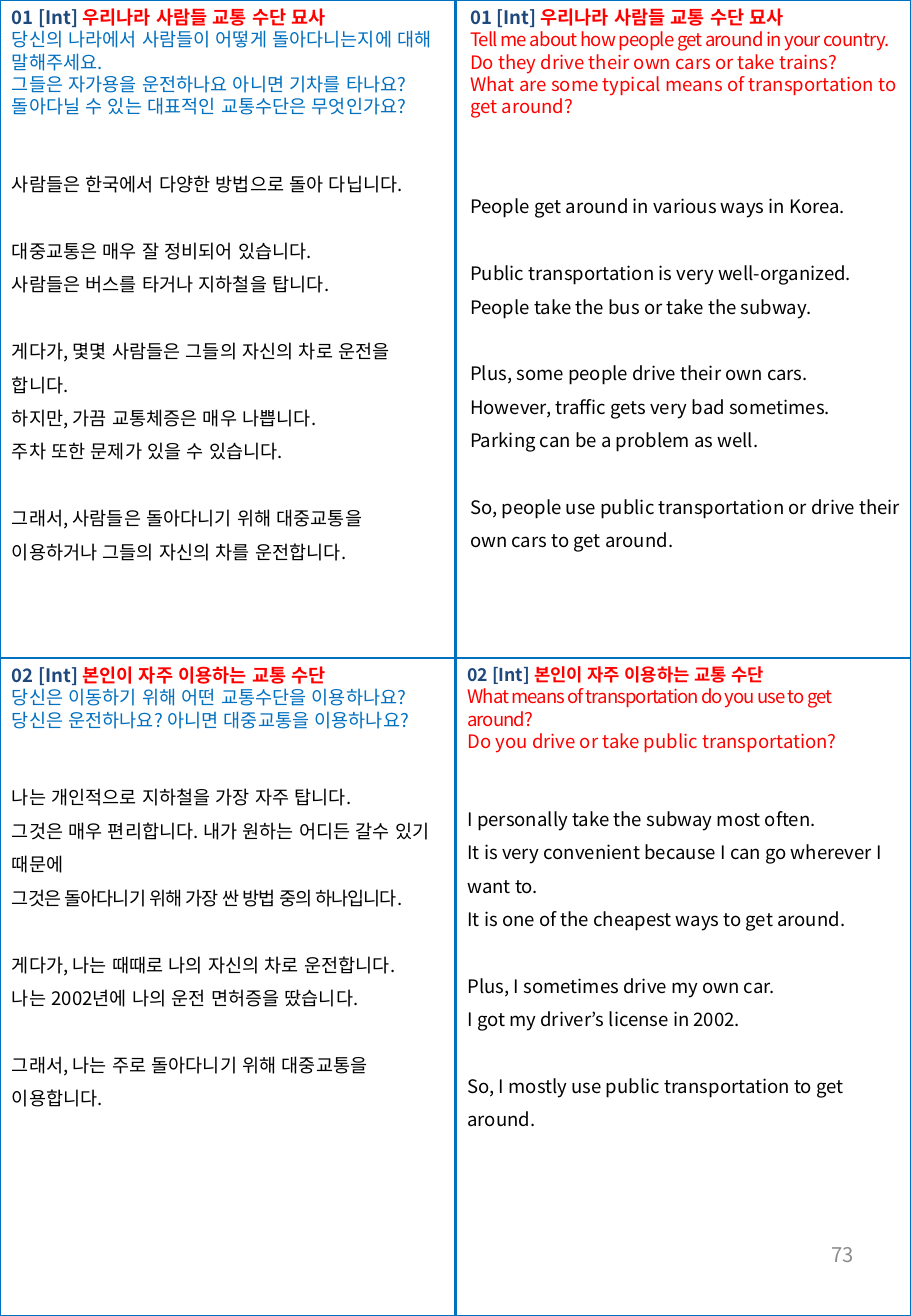
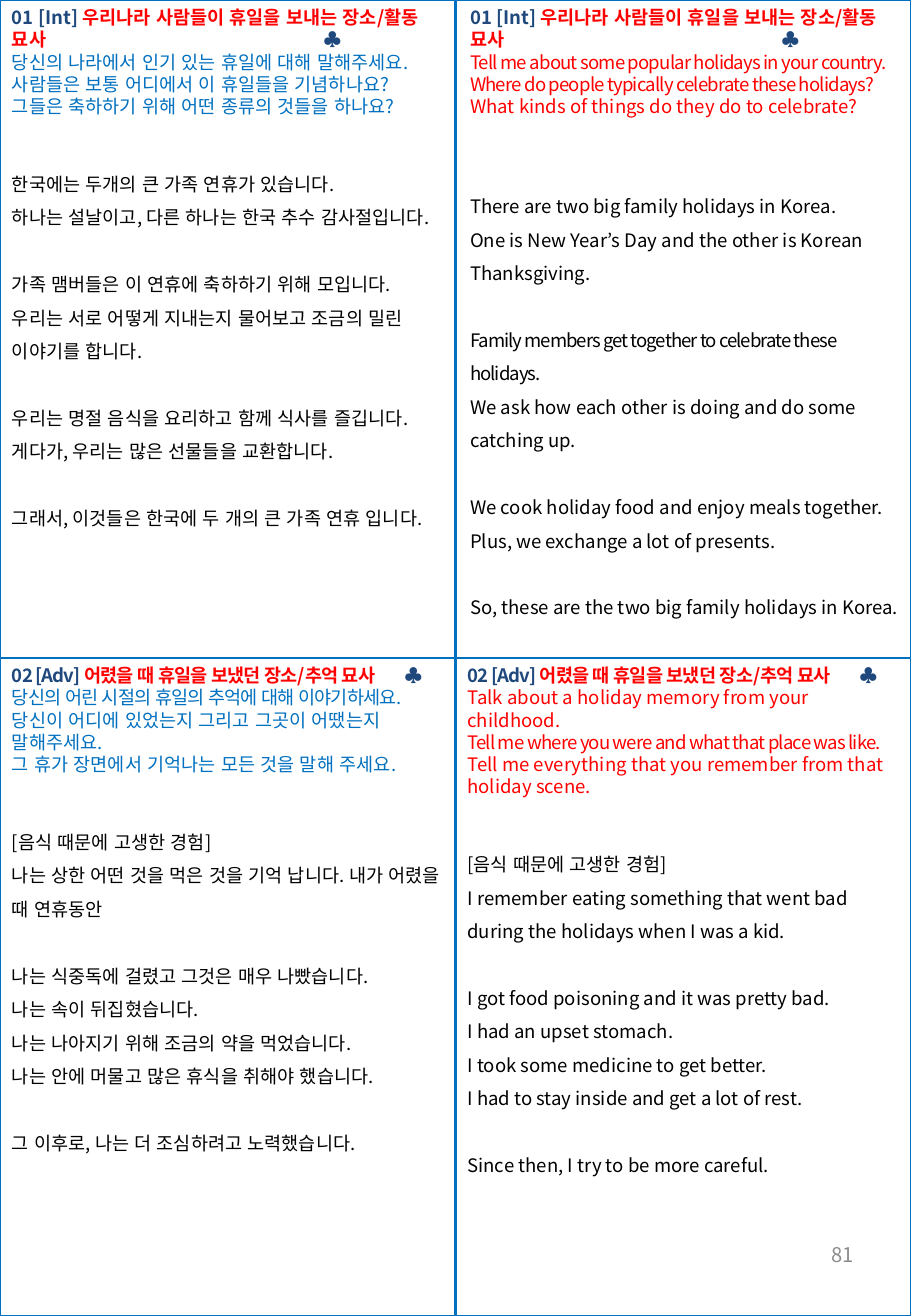
import dataclasses
import typing

import lxml.etree
import pptx
import pptx.dml.color
import pptx.enum.lang
import pptx.enum.shapes
import pptx.enum.text
import pptx.oxml.ns
import pptx.util

Cm = pptx.util.Cm
Pt = pptx.util.Pt

FONT = "Noto Sans CJK KR"
WIDTH, HEIGHT = 19.05, 27.52
MIDDLE_X, MIDDLE_Y = WIDTH / 2, HEIGHT / 2
BLUE, NAVY, RED, BLACK, GRAY = "0070C0", "1F497D", "FF0000", "000000", "8C8C8C"
TEXT_SIZE = 11
SINGLE_LINE = 13.2
BODY_SPACING = 1.5
BODY_LINE = SINGLE_LINE * BODY_SPACING


class Line(typing.NamedTuple):
    text: str
    tracking: float = 0


@dataclasses.dataclass
class Panel:
    left: float
    top: float
    height: float
    tag: str
    title: str
    question_color: str
    questions: list[Line]
    stanzas: list[list[Line]]
    body_gap: float = 2 * SINGLE_LINE
    title_size: float = TEXT_SIZE
    title_tracking: float = 0
    club_tab: float = 0


@dataclasses.dataclass
class Page:
    number: str
    panels: list[Panel]


def lines(*texts: str | Line) -> list[Line]:
    return [Line(text) if isinstance(text, str) else text for text in texts]


def color(value: str) -> pptx.dml.color.RGBColor:
    return pptx.dml.color.RGBColor.from_string(value)


def add_element(parent: typing.Any, tag: str, **attributes: str) -> typing.Any:
    return lxml.etree.SubElement(parent, pptx.oxml.ns.qn(tag), attributes)


def add_run(paragraph: typing.Any, text: str, text_color: str, size: float = TEXT_SIZE,
            bold: bool = False, tracking: float = 0) -> None:
    run = paragraph.add_run()
    run.text = text
    values = {"name": FONT, "size": Pt(size), "bold": bold,
              "language_id": pptx.enum.lang.MSO_LANGUAGE_ID.KOREAN}
    for name, value in values.items():
        setattr(run.font, name, value)
    run.font.color.rgb = color(text_color)
    properties = run._r.get_or_add_rPr()
    if tracking:
        properties.set("spc", str(round(tracking * 100)))
    add_element(properties, "a:ea", typeface=FONT)


def add_frame(slide: typing.Any, left: float, top: float, width: float, height: float,
              **values: typing.Any) -> typing.Any:
    frame = slide.shapes.add_textbox(Cm(left), Cm(top), Cm(width), Cm(height)).text_frame
    for name, value in {"word_wrap": True, **values}.items():
        setattr(frame, name, value)
    return frame


def add_title(paragraph: typing.Any, panel: Panel) -> None:
    pieces = [(panel.tag + " ", NAVY), (panel.title, RED)]
    if panel.club_tab:
        tabs = add_element(paragraph._p.get_or_add_pPr(), "a:tabLst")
        add_element(tabs, "a:tab", pos=str(Cm(panel.club_tab)), algn="l")
        pieces.append(("\t♣", NAVY))
    for text, text_color in pieces:
        add_run(paragraph, text, text_color, panel.title_size, True, panel.title_tracking)


def add_panel(slide: typing.Any, panel: Panel) -> None:
    frame = add_frame(slide, panel.left, panel.top, MIDDLE_X, panel.height,
                      auto_size=pptx.enum.text.MSO_AUTO_SIZE.SHAPE_TO_FIT_TEXT)
    add_title(frame.paragraphs[0], panel)
    for question in panel.questions:
        add_run(frame.add_paragraph(), question.text, panel.question_color,
                tracking=question.tracking)
    gap = panel.body_gap
    for stanza in panel.stanzas:
        for line in stanza:
            paragraph = frame.add_paragraph()
            paragraph.line_spacing = BODY_SPACING
            paragraph.space_before = Pt(gap)
            add_run(paragraph, line.text, BLACK, tracking=line.tracking)
            gap = 0
        gap = BODY_LINE


def add_divider(slide: typing.Any, left: float, top: float, right: float, bottom: float) -> None:
    connector = slide.shapes.add_connector(
        pptx.enum.shapes.MSO_CONNECTOR.STRAIGHT, Cm(left), Cm(top), Cm(right), Cm(bottom))
    add_element(connector._element.spPr, "a:effectLst")
    style_line(connector)


def style_line(shape: typing.Any) -> None:
    shape.line.color.rgb = color(BLUE)
    shape.line.width = Pt(1.5)


def add_grid(slide: typing.Any) -> None:
    add_divider(slide, 0, MIDDLE_Y, WIDTH, MIDDLE_Y)
    add_divider(slide, MIDDLE_X, 0, MIDDLE_X, HEIGHT)
    border = slide.shapes.add_shape(
        pptx.enum.shapes.MSO_SHAPE.RECTANGLE, 0, 0, Cm(WIDTH), Cm(HEIGHT))
    border.shadow.inherit = False
    border.fill.background()
    style_line(border)


def add_page_number(slide: typing.Any, number: str) -> None:
    frame = add_frame(slide, 13.65, 25.5, 4.45, 1.47,
                      vertical_anchor=pptx.enum.text.MSO_ANCHOR.MIDDLE)
    paragraph = frame.paragraphs[0]
    paragraph.alignment = pptx.enum.text.PP_ALIGN.RIGHT
    add_run(paragraph, number, GRAY, 12)


TRANSPORT = {"tag": "01 [Int]", "title": "우리나라 사람들 교통 수단 묘사"}
OWN_TRANSPORT = {"tag": "02 [Int]", "title": "본인이 자주 이용하는 교통 수단"}
HOLIDAYS = {"tag": "01 [Int]", "title": "우리나라 사람들이 휴일을 보내는 장소/활동 묘사",
            "club_tab": 6.52}
CHILDHOOD = {"tag": "02 [Adv]", "title": "어렸을 때 휴일을 보냈던 장소/추억 묘사",
             "club_tab": 8.2, "title_tracking": -0.5}
TOP_LEFT = {"left": 0, "top": 0, "question_color": BLUE}
TOP_RIGHT = {"left": 9.58, "top": 0, "question_color": RED, "body_gap": 2 * BODY_LINE}
BOTTOM_LEFT = {"left": 0, "top": MIDDLE_Y, "question_color": BLUE}
BOTTOM_RIGHT = {"left": MIDDLE_X, "top": MIDDLE_Y, "question_color": RED}

PAGES = [
    Page("73", [
        Panel(**TOP_LEFT, **TRANSPORT, height=11.89, questions=lines(
            "당신의 나라에서 사람들이 어떻게 돌아다니는지에 대해 말해주세요.",
            "그들은 자가용을 운전하나요 아니면 기차를 타나요?",
            "돌아다닐 수 있는 대표적인 교통수단은 무엇인가요?",
        ), stanzas=[
            lines("사람들은 한국에서 다양한 방법으로 돌아 다닙니다."),
            lines("대중교통은 매우 잘 정비되어 있습니다.",
                  "사람들은 버스를 타거나 지하철을 탑니다."),
            lines("게다가, 몇몇 사람들은 그들의 자신의 차로 운전을 합니다.",
                  "하지만, 가끔 교통체증은 매우 나쁩니다.",
                  "주차 또한 문제가 있을 수 있습니다."),
            lines("그래서, 사람들은 돌아다니기 위해 대중교통을 이용하거나 "
                  "그들의 자신의 차를 운전합니다."),
        ]),
        Panel(**TOP_RIGHT, **TRANSPORT, height=12.14, questions=lines(
            Line("Tell me about how people get around in your country.", -0.5),
            "Do they drive their own cars or take trains?",
            "What are some typical means of transportation to get around?",
        ), stanzas=[
            lines("People get around in various ways in Korea."),
            lines("Public transportation is very well-organized.",
                  "People take the bus or take the subway."),
            lines("Plus, some people drive their own cars.",
                  "However, traffic gets very bad sometimes.",
                  "Parking can be a problem as well."),
            lines("So, people use public transportation or drive their own cars to get around."),
        ]),
        Panel(**BOTTOM_LEFT, **OWN_TRANSPORT, height=9.58, questions=lines(
            "당신은 이동하기 위해 어떤 교통수단을 이용하나요?",
            "당신은 운전하나요? 아니면 대중교통을 이용하나요?",
        ), stanzas=[
            lines("나는 개인적으로 지하철을 가장 자주 탑니다.",
                  "그것은 매우 편리합니다. 내가 원하는 어디든 갈수 있기 때문에",
                  Line("그것은 돌아다니기 위해 가장 싼 방법 중의 하나입니다.", -0.6)),
            lines("게다가, 나는 때때로 나의 자신의 차로 운전합니다.",
                  "나는 2002년에 나의 운전 면허증을 땄습니다."),
            lines("그래서, 나는 주로 돌아다니기 위해 대중교통을 이용합니다."),
        ]),
        Panel(**BOTTOM_RIGHT, **OWN_TRANSPORT, height=9.55, title_size=10.5, questions=lines(
            Line("What means of transportation do you use to get around?", -0.6),
            "Do you drive or take public transportation?",
        ), stanzas=[
            lines("I personally take the subway most often.",
                  "It is very convenient because I can go wherever I want to.",
                  "It is one of the cheapest ways to get around."),
            lines("Plus, I sometimes drive my own car.",
                  "I got my driver’s license in 2002."),
            lines("So, I mostly use public transportation to get around."),
        ]),
    ]),
    Page("81", [
        Panel(**TOP_LEFT, **HOLIDAYS, height=13.11, questions=lines(
            "당신의 나라에서 인기 있는 휴일에 대해 말해주세요.",
            "사람들은 보통 어디에서 이 휴일들을 기념하나요?",
            "그들은 축하하기 위해 어떤 종류의 것들을 하나요?",
        ), stanzas=[
            lines("한국에는 두개의 큰 가족 연휴가 있습니다.",
                  "하나는 설날이고, 다른 하나는 한국 추수 감사절입니다."),
            lines("가족 맴버들은 이 연휴에 축하하기 위해 모입니다.",
                  "우리는 서로 어떻게 지내는지 물어보고 조금의 밀린 이야기를 합니다."),
            lines("우리는 명절 음식을 요리하고 함께 식사를 즐깁니다.",
                  "게다가, 우리는 많은 선물들을 교환합니다."),
            lines("그래서, 이것들은 한국에 두 개의 큰 가족 연휴 입니다."),
        ]),
        Panel(**TOP_RIGHT, **HOLIDAYS, height=12.4, questions=lines(
            Line("Tell me about some popular holidays in your country.", -0.5),
            Line("Where do people typically celebrate these holidays?", -0.5),
            "What kinds of things do they do to celebrate?",
        ), stanzas=[
            lines("There are two big family holidays in Korea.",
                  "One is New Year’s Day and the other is Korean Thanksgiving."),
            lines(Line("Family members get together to celebrate these holidays.", -0.6),
                  "We ask how each other is doing and do some catching up."),
            lines("We cook holiday food and enjoy meals together.",
                  "Plus, we exchange a lot of presents."),
            lines("So, these are the two big family holidays in Korea."),
        ]),
        Panel(**BOTTOM_LEFT, **CHILDHOOD, height=10.52, questions=lines(
            Line("당신의 어린 시절의 휴일의 추억에 대해 이야기하세요.", -0.5),
            "당신이 어디에 있었는지 그리고 그곳이 어땠는지 말해주세요.",
            "그 휴가 장면에서 기억나는 모든 것을 말해 주세요.",
        ), stanzas=[
            lines("[음식 때문에 고생한 경험]",
                  "나는 상한 어떤 것을 먹은 것을 기억 납니다. 내가 어렸을 때 연휴동안"),
            lines("나는 식중독에 걸렸고 그것은 매우 나빴습니다.",
                  "나는 속이 뒤집혔습니다.",
                  "나는 나아지기 위해 조금의 약을 먹었습니다.",
                  "나는 안에 머물고 많은 휴식을 취해야 했습니다."),
            lines("그 이후로, 나는 더 조심하려고 노력했습니다."),
        ]),
        Panel(**BOTTOM_RIGHT, **CHILDHOOD, height=10.52, questions=lines(
            "Talk about a holiday memory from your childhood.",
            Line("Tell me where you were and what that place was like.", -0.5),
            "Tell me everything that you remember from that holiday scene.",
        ), stanzas=[
            lines("[음식 때문에 고생한 경험]",
                  "I remember eating something that went bad",
                  "during the holidays when I was a kid."),
            lines("I got food poisoning and it was pretty bad.",
                  "I had an upset stomach.",
                  "I took some medicine to get better.",
                  "I had to stay inside and get a lot of rest."),
            lines("Since then, I try to be more careful."),
        ]),
    ]),
]


def main() -> None:
    presentation = pptx.Presentation()
    presentation.slide_width = Cm(WIDTH)
    presentation.slide_height = Cm(HEIGHT)
    for page in PAGES:
        slide = presentation.slides.add_slide(presentation.slide_layouts[6])
        add_grid(slide)
        add_page_number(slide, page.number)
        for panel in page.panels:
            add_panel(slide, panel)
    presentation.save("out.pptx")


if __name__ == "__main__":
    main()
